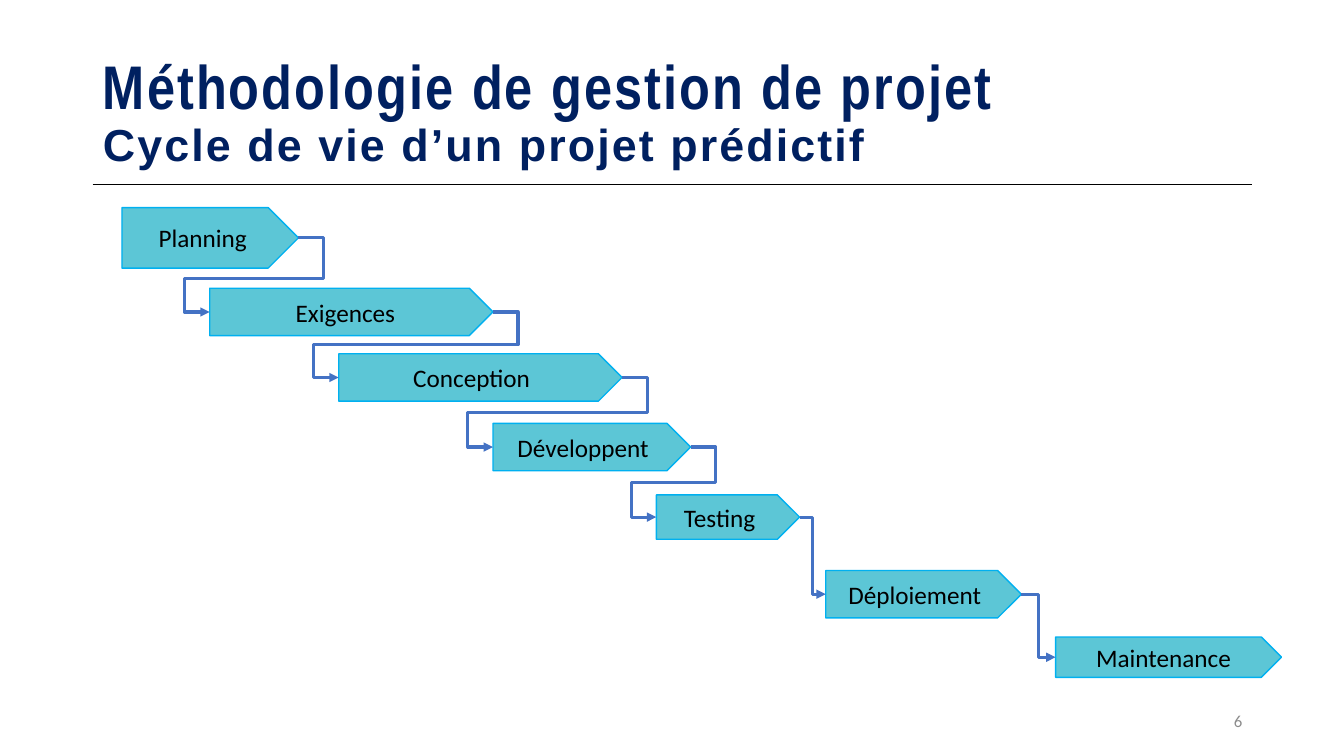
from itertools import pairwise

from lxml.etree import SubElement
from pptx import Presentation
from pptx.dml.color import RGBColor
from pptx.enum.shapes import MSO_CONNECTOR, MSO_SHAPE
from pptx.enum.text import MSO_ANCHOR, MSO_AUTO_SIZE, PP_ALIGN
from pptx.oxml.ns import qn
from pptx.util import Inches, Pt

LEFT_SITE, RIGHT_SITE = 1, 3
STUB = Inches(0.25)
PHASES = [
    ("Planning", 1.21, 2.06, 1.75, 0.6),
    ("Exigences", 2.08, 2.86, 2.81, 0.47),
    ("Conception ", 3.36, 3.51, 2.81, 0.47),
    ("Développent ", 4.89, 4.2, 1.96, 0.47),
    ("Testing ", 6.51, 4.91, 1.42, 0.44),
    ("Déploiement ", 8.19, 5.66, 1.94, 0.47),
    ("Maintenance", 10.47, 6.32, 2.24, 0.4),
]


def color(value):
    """Return the colour for a hex string."""
    return RGBColor.from_string(value)


def add_text(paragraph, text, size=18, font="Calibri", fill="000000", bold=False, spacing=None):
    """Append a formatted run to a paragraph."""
    run = paragraph.add_run()
    run.text = text
    run.font.size = Pt(size)
    run.font.name = font
    run.font.bold = bold
    run.font.color.rgb = color(fill)
    if spacing is not None:
        run.font._element.set("spc", str(round(spacing * 100)))


def add_line(slide, kind, start, end, stroke, width):
    """Draw a shadowless connector between two points in EMU."""
    connector = slide.shapes.add_connector(kind, *start, *end)
    connector.line.color.rgb = color(stroke)
    connector.line.width = Pt(width)
    SubElement(connector.element.spPr, qn("a:effectLst"))
    return connector


def add_title(slide, left, top, width, height):
    """Fill the title placeholder and rule a line beneath it."""
    title = slide.shapes.title
    title.left, title.top = Inches(left), Inches(top)
    title.width, title.height = Inches(width), Inches(height)
    frame = title.text_frame
    frame.word_wrap = True
    frame.auto_size = MSO_AUTO_SIZE.NONE
    frame.vertical_anchor = MSO_ANCHOR.MIDDLE
    paragraph = frame.paragraphs[0]
    paragraph.alignment = PP_ALIGN.LEFT
    paragraph.line_spacing = 0.9
    style = {"fill": "002060", "bold": True, "spacing": 1.5}
    add_text(paragraph, "Méthodologie de gestion de projet", size=44, font="Arial Narrow", **style)
    paragraph.add_line_break()
    add_text(paragraph, "Cycle de vie d’un projet prédictif", size=32, font="Arial", **style)
    rule = Inches(top + height - 0.02)
    add_line(slide, MSO_CONNECTOR.STRAIGHT, (Inches(left), rule),
             (Inches(left + width), rule), "000000", 0.5)


def add_phase(slide, name, left, top, width, height):
    """Draw one phase as a labelled pentagon arrow."""
    phase = slide.shapes.add_shape(MSO_SHAPE.PENTAGON, Inches(left), Inches(top),
                                   Inches(width), Inches(height))
    phase.shadow.inherit = False
    phase.fill.solid()
    phase.fill.fore_color.rgb = color("5CC6D6")
    phase.line.color.rgb = color("00B0F0")
    phase.line.width = Pt(1)
    frame = phase.text_frame
    frame.word_wrap = True
    frame.vertical_anchor = MSO_ANCHOR.MIDDLE
    frame.paragraphs[0].alignment = PP_ALIGN.CENTER
    add_text(frame.paragraphs[0], name)
    return phase


def link_phases(slide, source, target):
    """Join two phases with an elbow arrow, looping back when they overlap."""
    start = source.left + source.width, source.top + source.height // 2
    end = target.left, target.top + target.height // 2
    connector = add_line(slide, MSO_CONNECTOR.ELBOW, start, end, "4472C4", 2.25)
    connector.begin_connect(source, RIGHT_SITE)
    connector.end_connect(target, LEFT_SITE)
    line = connector.line._get_or_add_ln()
    SubElement(line, qn("a:tailEnd"), type="triangle")
    if start[0] > end[0]:
        stub = STUB / (start[0] - end[0])
        gap_middle = (source.top + source.height + target.top) / 2
        turn = (gap_middle - start[1]) / (end[1] - start[1])
        geometry = connector.element.spPr.find(qn("a:prstGeom"))
        geometry.set("prst", "bentConnector5")
        guides = geometry.find(qn("a:avLst"))
        for number, ratio in enumerate((-stub, turn, 1 + stub), start=1):
            SubElement(guides, qn("a:gd"), name=f"adj{number}", fmla=f"val {round(ratio * 100000)}")


def add_cascade(slide, phases):
    """Draw the phases and link each one to the next."""
    shapes = [add_phase(slide, *phase) for phase in phases]
    for source, target in pairwise(shapes):
        link_phases(slide, source, target)


def add_page_number(slide, number, left, top, width, height):
    """Place the page number at the right of its box."""
    box = slide.shapes.add_textbox(Inches(left), Inches(top), Inches(width), Inches(height))
    frame = box.text_frame
    frame.word_wrap = True
    frame.vertical_anchor = MSO_ANCHOR.MIDDLE
    frame.paragraphs[0].alignment = PP_ALIGN.RIGHT
    add_text(frame.paragraphs[0], number, size=12, fill="8C8C8C")


def main():
    """Build and save the presentation."""
    presentation = Presentation()
    presentation.slide_width, presentation.slide_height = Inches(13.33), Inches(7.5)
    slide = presentation.slides.add_slide(presentation.slide_layouts.get_by_name("Title Only"))
    add_title(slide, 0.92, 0.4, 11.5, 1.45)
    add_cascade(slide, PHASES)
    add_page_number(slide, "6", 9.42, 6.95, 3, 0.4)
    presentation.save("out.pptx")


if __name__ == "__main__":
    main()
